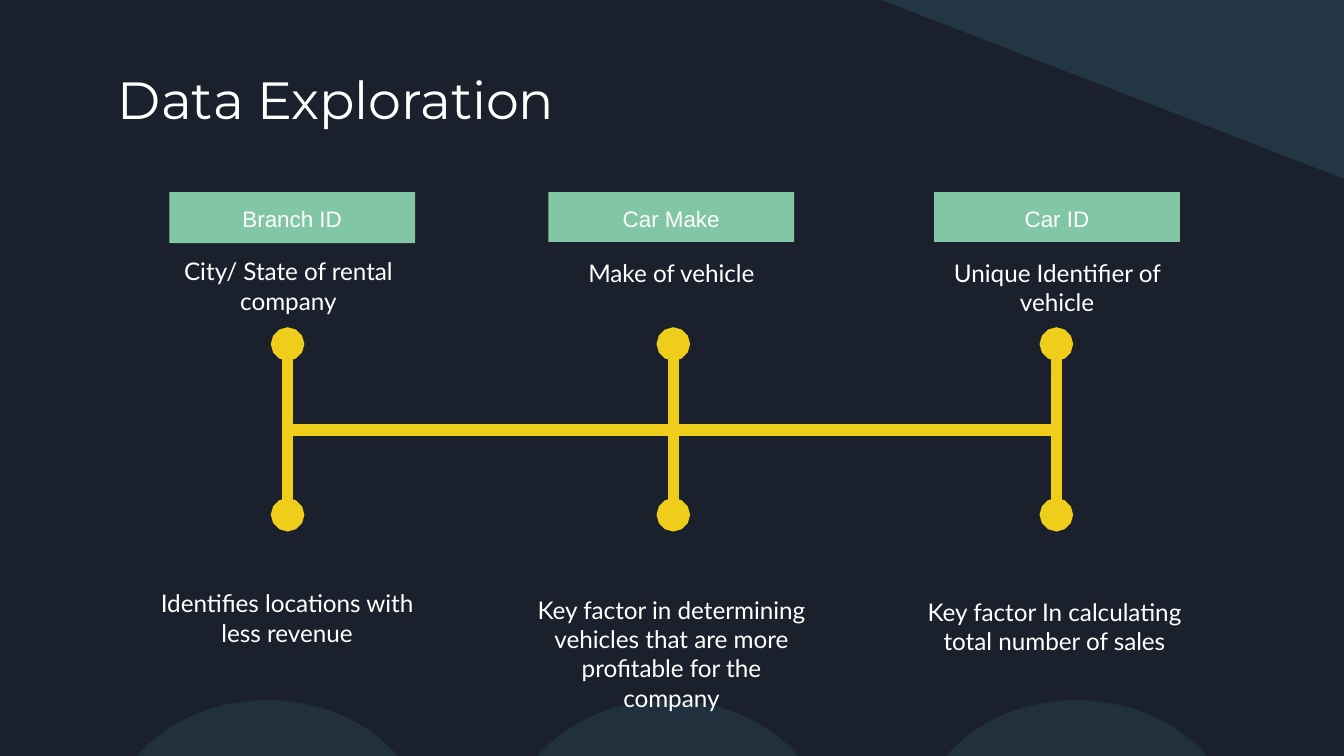
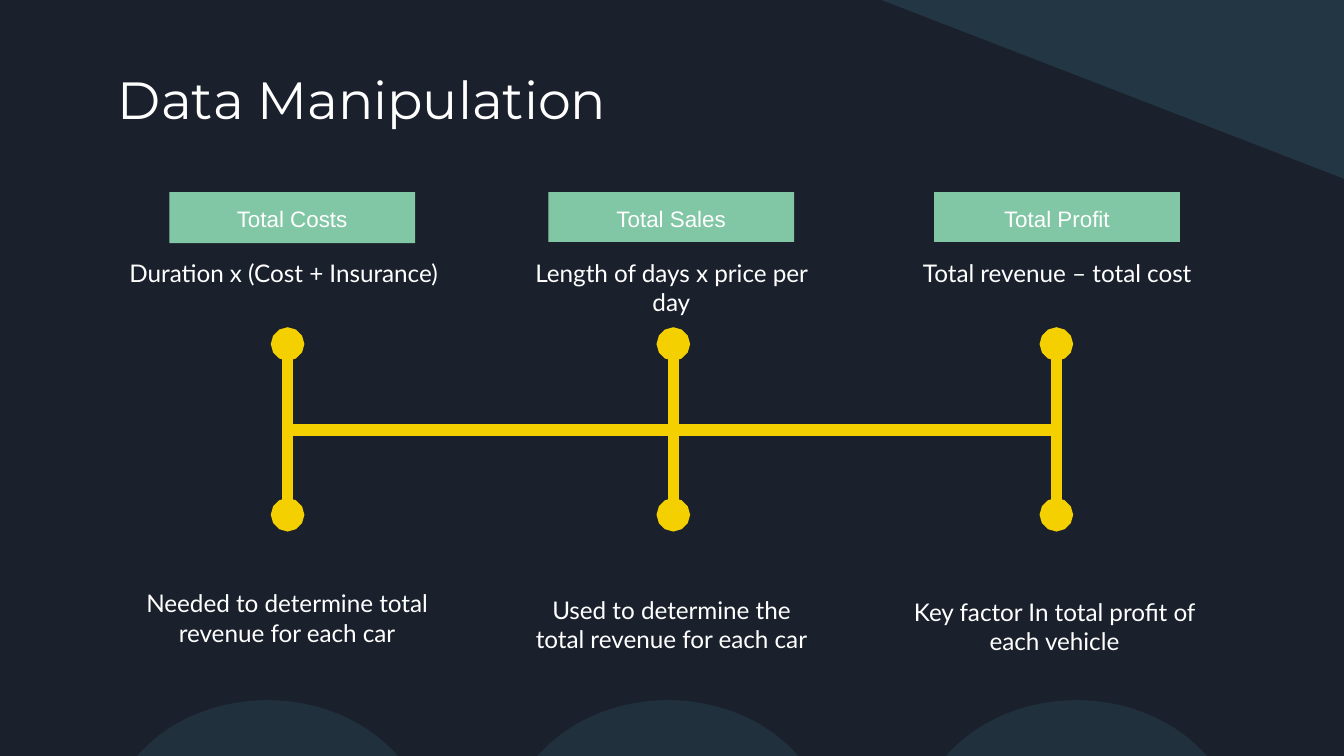
from lxml.etree import SubElement
from pptx import Presentation
from pptx.dml.color import RGBColor
from pptx.enum.shapes import MSO_CONNECTOR, MSO_SHAPE
from pptx.enum.text import MSO_ANCHOR, PP_ALIGN
from pptx.oxml.ns import qn
from pptx.util import Inches, Pt

NIGHT, TEAL, MINT, WHITE = "1B212C", "336574", "82C7A5", "FFFFFF"

SLIDES = [
    {
        "title": "Data Exploration",
        "line": "EECE1A",
        "heads": ["Branch ID", "Car Make", "Car ID"],
        "tops": ["City/ State of rental company", "Make of vehicle",
                 "Unique Identifier of vehicle"],
        "spots": [(1, 1.81, 2.29), (3.85, 1.82, 2.29), (6.72, 1.82, 2.29)],
        "notes": ["Identifies locations with less revenue",
                  "Key factor in determining vehicles that are more "
                  "profitable for the company",
                  "Key factor In calculating total number of sales"],
    },
    {
        "title": "Data Manipulation",
        "line": "F4D000",
        "heads": ["Total Costs", "Total Sales", "Total Profit"],
        "tops": ["Duration x (Cost + Insurance)",
                 "Length of days x price per day",
                 "Total revenue – total cost"],
        "spots": [(0.78, 1.82, 2.66), (3.85, 1.82, 2.29), (6.72, 1.82, 2.29)],
        "notes": ["Needed to determine total revenue for each car",
                  "Used to determine the total revenue for each car",
                  "Key factor In total profit of each vehicle"],
    },
]

HEADS = [(1.26, 0.38), (4.08, 0.37), (6.95, 0.37)]
NOTES = [(0.99, 4.28), (3.85, 4.33), (6.7, 4.34)]
STEMS = [2.14, 5.01, 7.86]
DOMES = [0.79, 3.77, 6.81]


def color(code):
    return RGBColor.from_string(code)


def shape(slide, kind, box, code, alpha=100):
    item = slide.shapes.add_shape(kind, *map(Inches, box))
    item.shadow.inherit = False
    item.fill.solid()
    item.fill.fore_color.rgb = color(code)
    item.line.fill.background()
    if alpha < 100:
        fill = item.fill.fore_color._xFill.find(qn("a:srgbClr"))
        SubElement(fill, qn("a:alpha"), val=str(alpha * 1000))
    return item


def write(item, text, size, font, align=PP_ALIGN.CENTER, anchor=MSO_ANCHOR.TOP):
    frame = item.text_frame
    frame.word_wrap = True
    frame.vertical_anchor = anchor
    frame.margin_left = frame.margin_right = Inches(0.1)
    frame.margin_top = frame.margin_bottom = Inches(0.1)
    para = frame.paragraphs[0]
    para.alignment = align
    run = para.add_run()
    run.text = text
    run.font.size = Pt(size)
    run.font.name = font
    run.font.color.rgb = color(WHITE)


def label(slide, box, *style):
    write(slide.shapes.add_textbox(*map(Inches, box)), *style)


def line(slide, ends, code, dots=False):
    item = slide.shapes.add_connector(MSO_CONNECTOR.STRAIGHT, *map(Inches, ends))
    item.line.color.rgb = color(code)
    item.line.width = Pt(6)
    if dots:
        for end in ("a:headEnd", "a:tailEnd"):
            SubElement(item.line._get_or_add_ln(), qn(end), type="oval")
    SubElement(item._element.spPr, qn("a:effectLst"))


def base(deck, title):
    slide = deck.slides.add_slide(deck.slide_layouts[6])
    slide.background.fill.solid()
    slide.background.fill.fore_color.rgb = color(NIGHT)
    wedge = shape(slide, MSO_SHAPE.RIGHT_TRIANGLE, (6.56, 0, 3.44, 1.33), TEAL, 32)
    wedge.rotation = 180
    for left in DOMES:
        shape(slide, MSO_SHAPE.OVAL, (left, 5.21, 2.4, 2.02), TEAL, 23)
    label(slide, (0.78, 0.42, 8.44, 0.63), title, 28, "Montserrat",
          PP_ALIGN.LEFT, MSO_ANCHOR.MIDDLE)
    return slide


def build(deck, data):
    slide = base(deck, data["title"])
    for text, (left, high) in zip(data["heads"], HEADS):
        tag = shape(slide, MSO_SHAPE.RECTANGLE, (left, 1.43, 1.83, high), MINT)
        write(tag, text, 12, "Arial")
    for text, spot in zip(data["tops"], data["spots"]):
        label(slide, (*spot, 0.74), text, 13, "Lato")
    for text, spot in zip(data["notes"], NOTES):
        label(slide, (*spot, 2.29, 0.75), text, 13, "Lato")
    line(slide, (2.17, 3.2, 7.85, 3.2), data["line"])
    for mid in STEMS:
        line(slide, (mid, 2.56, mid, 3.83), data["line"], True)


def main():
    deck = Presentation()
    deck.slide_width = Inches(10)
    deck.slide_height = Inches(10 * 9 / 16)
    for data in SLIDES:
        build(deck, data)
    deck.save("out.pptx")


if __name__ == "__main__":
    main()
